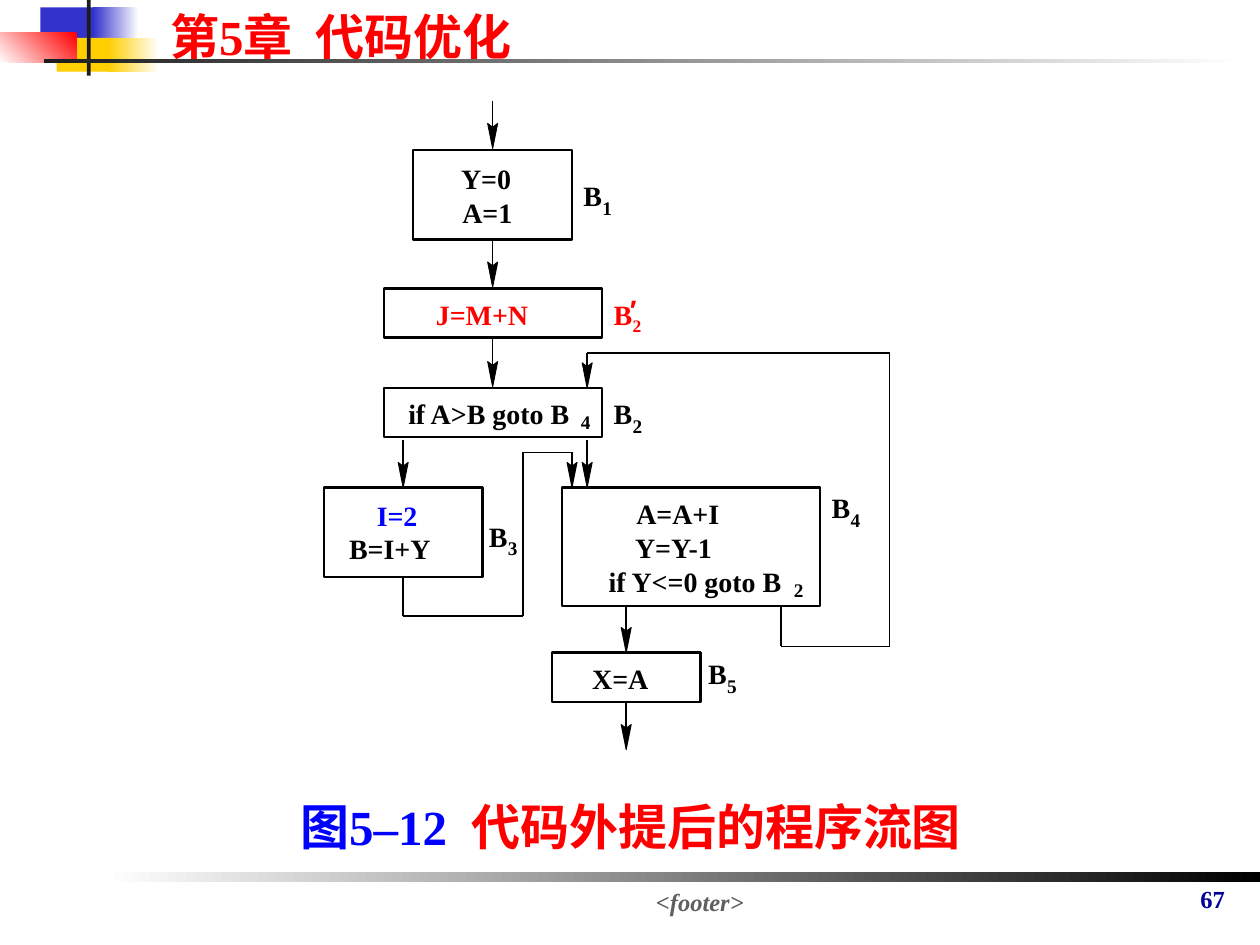
from itertools import pairwise
from typing import NamedTuple

from lxml import etree
from pptx import Presentation
from pptx.dml.color import RGBColor
from pptx.enum.shapes import MSO_CONNECTOR, MSO_SHAPE
from pptx.enum.text import MSO_ANCHOR, MSO_AUTO_SIZE, PP_ALIGN
from pptx.oxml.ns import qn
from pptx.util import Inches, Pt

RECT, STRAIGHT = MSO_SHAPE.RECTANGLE, MSO_CONNECTOR.STRAIGHT
LEFT, CENTER = PP_ALIGN.LEFT, PP_ALIGN.CENTER
TOP, NO_FIT = MSO_ANCHOR.TOP, MSO_AUTO_SIZE.NONE
SERIF, SANS = "Times New Roman", "Arial"
COLORS = {
    "black": "000000", "white": "FFFFFF", "red": "FF0000", "blue": "0000FF",
    "navy": "000099", "gray": "5F5F5F", "ink": "1C1C1C",
    "square": "3333CC", "gold": "FFCF01",
}


class Box(NamedTuple):
    x: float
    y: float
    w: float
    h: float


class Band(NamedTuple):
    box: Box
    start: str
    end: str = ""  # a second colour makes a gradient
    angle: int = 180


class Run(NamedTuple):
    text: str
    color: str = "black"
    size: float = 16
    font: str = SERIF
    italic: bool = False
    spacing: int = 0  # extra width after each character, 1/100 pt


class Code(NamedTuple):
    box: Box
    run: Run


class BlockName(NamedTuple):
    x: float
    y: float
    number: str
    color: str = "black"
    sub_size: float = 11


class Arrow(NamedTuple):
    x: float
    top: float
    tip: float


FOOTER_BAR = Band(Box(0.83, 6.92, 9.17, 0.08), "black", "white")
HEADER_BANDS = [
    Band(Box(0.32, 0.06, 0.48, 0.27), "square"),
    Band(Box(0.74, 0.06, 0.36, 0.27), "white", "square"),
    Band(Box(0.45, 0.3, 0.46, 0.27), "gold"),
    Band(Box(0.86, 0.3, 0.4, 0.27), "white", "gold"),
    Band(Box(0, 0.26, 0.61, 0.24), "red", "white", 225),
    Band(Box(0.69, 0, 0.03, 0.6), "ink"),
    Band(Box(0.35, 0.47, 9.51, 0.03), "white", "ink"),
]
LOOPS = [
    [(6.2, 4.82), (6.2, 5.13), (7.06, 5.13), (7.06, 2.8), (4.66, 2.8)],
    [(3.2, 4.58), (3.2, 4.89), (4.15, 4.89), (4.15, 3.59), (4.54, 3.59)],
]
BLOCKS = [
    Box(3.28, 1.19, 1.26, 0.71), Box(3.05, 2.29, 1.73, 0.39),
    Box(3.05, 3.08, 1.73, 0.39), Box(2.57, 3.87, 1.26, 0.71),
    Box(4.46, 3.87, 2.05, 0.94), Box(4.38, 5.18, 1.18, 0.39),
]
ARROWS = [
    Arrow(3.91, 0.8, 1.18), Arrow(3.91, 1.91, 2.28), Arrow(3.91, 2.69, 3.07),
    Arrow(4.66, 2.8, 3.08), Arrow(3.2, 3.49, 3.87), Arrow(4.66, 3.49, 3.87),
    Arrow(4.54, 3.59, 3.87), Arrow(4.97, 4.81, 5.18), Arrow(4.97, 5.58, 5.95),
]
CODE = [
    Code(Box(3.66, 1.28, 0.4, 0.27), Run("Y=0")),
    Code(Box(3.67, 1.55, 0.4, 0.27), Run("A=1")),
    Code(Box(3.46, 2.36, 0.73, 0.27), Run("J=M+N", "red")),
    Code(Box(3.24, 3.15, 1.29, 0.27), Run("if A>B goto B")),
    Code(Box(4.61, 3.26, 0.08, 0.18), Run("4", size=11)),
    Code(Box(2.99, 3.96, 0.32, 0.27), Run("I=2", "blue")),
    Code(Box(2.77, 4.22, 0.65, 0.27), Run("B=I+Y")),
    Code(Box(5.05, 3.94, 0.66, 0.27), Run("A=A+I")),
    Code(Box(5.04, 4.21, 0.63, 0.27), Run("Y=Y-1")),
    Code(Box(4.83, 4.48, 1.38, 0.27), Run("if Y<=0 goto B")),
    Code(Box(6.3, 4.59, 0.08, 0.18), Run("2", size=11)),
    Code(Box(4.7, 5.25, 0.45, 0.27), Run("X=A")),
    Code(Box(5, 2.32, 0.07, 0.27), Run("′", "red", font=SANS)),
]
BLOCK_NAMES = [
    BlockName(4.63, 1.42, "1"), BlockName(4.87, 2.36, "2", "red", 10),
    BlockName(4.87, 3.15, "2"), BlockName(3.88, 4.12, "3"),
    BlockName(6.6, 3.89, "4"), BlockName(5.62, 5.21, "5"),
]


def rgb(name: str) -> RGBColor:
    return RGBColor.from_string(COLORS[name])


def emu(box: Box) -> list[int]:
    return [Inches(v) for v in box]


def write(sp, runs: list[Run], align=LEFT, inset: bool = True, wrap: bool = True) -> None:
    tf = sp.text_frame
    tf.auto_size, tf.word_wrap, tf.vertical_anchor = NO_FIT, wrap, TOP
    tf.margin_left = tf.margin_right = Inches(0.1 if inset else 0)
    tf.margin_top = tf.margin_bottom = Inches(0.05 if inset else 0)
    p = tf.paragraphs[0]
    p.alignment = align
    for run in runs:
        r = p.add_run()
        r.text = run.text
        r.font.name, r.font.size = run.font, Pt(run.size)
        r.font.bold, r.font.italic = True, run.italic
        r.font.color.rgb = rgb(run.color)
        if run.spacing:
            r.font._element.set("spc", str(run.spacing))


def add_text(s, box: Box, runs: list[Run], **layout) -> None:
    write(s.shapes.add_textbox(*emu(box)), runs, **layout)


def add_band(s, band: Band) -> None:
    sp = s.shapes.add_shape(RECT, *emu(band.box))
    sp.shadow.inherit = False
    sp.line.fill.background()
    if band.end:
        sp.fill.gradient()
        sp.fill.gradient_angle = band.angle
        for stop, color in zip(sp.fill.gradient_stops, (band.start, band.end)):
            stop.color.rgb = rgb(color)
    else:
        sp.fill.solid()
        sp.fill.fore_color.rgb = rgb(band.start)


def paint(sp, fill: str, width: float) -> None:
    """Give a flow chart shape a plain fill and a black outline."""
    sp.shadow.inherit = False
    sp.fill.solid()
    sp.fill.fore_color.rgb = rgb(fill)
    sp.line.color.rgb, sp.line.width = rgb("black"), Pt(width)


def add_line(s, start: tuple[float, float], end: tuple[float, float]) -> None:
    cxn = s.shapes.add_connector(STRAIGHT, *[Inches(v) for v in (*start, *end)])
    cxn.line.color.rgb, cxn.line.width = rgb("black"), Pt(0.88)
    etree.SubElement(cxn._element.spPr, qn("a:effectLst"))


def add_arrow(s, arrow: Arrow) -> None:
    """Draw a downward line that ends in a slim notched dart."""
    x, top, tip = arrow
    add_line(s, (x, top), (x, tip - 0.04))
    dart = [(x + 0.04, tip - 0.2), (x, tip - 0.17), (x - 0.04, tip - 0.2), (x, tip)]
    points = [(Inches(px), Inches(py)) for px, py in dart]
    builder = s.shapes.build_freeform(*points[0])
    builder.add_line_segments(points[1:], close=True)
    paint(builder.convert_to_shape(), "black", 0.5)


def add_block_name(s, name: BlockName) -> None:
    parts = [
        (Box(name.x, name.y, 0.15, 0.27), Run("B", name.color)),
        (Box(name.x + 0.15, name.y + 0.14, 0.08, 0.18),
         Run(name.number, name.color, name.sub_size)),
    ]
    for box, run in parts:
        add_text(s, box, [run], inset=False, wrap=False)


def main() -> None:
    prs = Presentation()
    prs.slide_width, prs.slide_height = Inches(10), Inches(7.5)
    s = prs.slides.add_slide(prs.slide_layouts[5])

    title = s.shapes.title
    title.left, title.top, title.width, title.height = emu(Box(1.25, 0, 3.12, 0.57))
    write(title, [Run("第5章", "red", 28), Run(" ", "red", 28, spacing=700),
                  Run("代码优化", "red", 28)])
    for band in [FOOTER_BAR, *HEADER_BANDS]:
        add_band(s, band)
    add_text(s, Box(9.33, 6.97, 0.59, 0.34), [Run("67", "navy", 14)], align=CENTER)
    add_text(s, Box(1.85, 6.99, 7.41, 0.26),
             [Run("<footer>", "gray", 14, italic=True)], align=CENTER)
    add_text(s, Box(1.92, 6.27, 6.17, 0.57),
             [Run("图5–12", "blue", 28), Run(" ", "blue", 28, spacing=700),
              Run("代码外提后的程序流图", "red", 28)], align=CENTER)

    for loop in LOOPS:
        for start, end in pairwise(loop):
            add_line(s, start, end)
    for block in BLOCKS:
        paint(s.shapes.add_shape(RECT, *emu(block)), "white", 1.39)
    for arrow in ARROWS:
        add_arrow(s, arrow)
    for code in CODE:
        add_text(s, code.box, [code.run], inset=False, wrap=False)
    for name in BLOCK_NAMES:
        add_block_name(s, name)
    prs.save("out.pptx")


if __name__ == "__main__":
    main()
